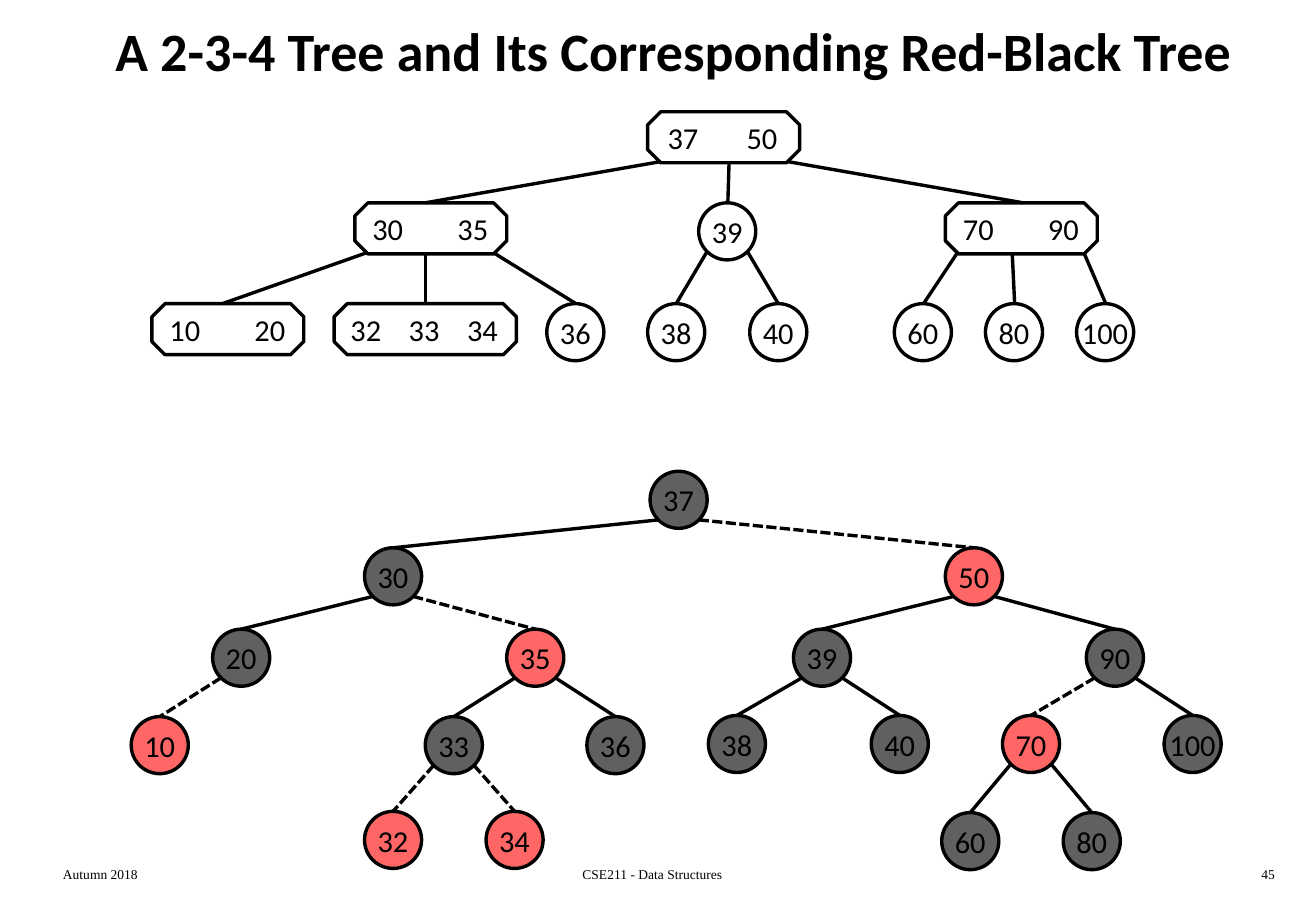
from pptx import Presentation
from pptx.dml.color import RGBColor
from pptx.enum.dml import MSO_LINE_DASH_STYLE as Dash
from pptx.enum.shapes import MSO_CONNECTOR as Connector, MSO_SHAPE as Shape
from pptx.enum.text import MSO_ANCHOR as Anchor, PP_ALIGN as Align
from pptx.oxml.ns import qn
from pptx.util import Inches, Pt
from lxml import etree

BLACK = RGBColor(0x00, 0x00, 0x00)
WHITE = RGBColor(0xFF, 0xFF, 0xFF)
NODE_BLACK = RGBColor(0x60, 0x60, 0x60)
NODE_RED = RGBColor(0xFF, 0x66, 0x66)

DIAMETER = 0.47
EDGE_X, EDGE_Y = 0.165, 0.4
KEY_BOX_HEIGHT = 0.42
KEY_BOX_INSET = 0.05

TEXTS = [
    ("A 2-3-4 Tree and Its Corresponding Red-Black Tree", 0.42, 0.08, 10.25, 0.67,
     Align.CENTER, Anchor.MIDDLE, {"name": "Calibri", "size": Pt(32), "bold": True}),
]
FOOTERS = [
    ("Autumn 2018", 0.42, 2.26, Align.LEFT),
    ("CSE211 - Data Structures", 3.34, 4.06, Align.CENTER),
    ("45", 8.33, 2.26, Align.RIGHT),
]
FOOTER_FONT = {"name": "Times New Roman", "size": Pt(8)}
NODE_FONT = {"name": "Calibri", "size": Pt(18)}

KEY_BOXES = [
    (["37", "50"], 5.33, 0.92, 1.25, 0.16, 0.65),
    (["30", "35"], 2.92, 1.67, 1.25, 0.14, 0.7),
    (["70", "90"], 7.78, 1.67, 1.25, 0.14, 0.7),
    (["10", "20"], 1.25, 2.5, 1.25, 0.14, 0.7),
    (["32", "33", "34"], 2.75, 2.5, 1.5, 0.13, 0.48),
]
KEY_BOX_EDGES = [
    (5.44, 1.33, 3.5, 1.67), (6, 1.33, 5.99, 1.67), (6.48, 1.33, 8.42, 1.67),
    (3.02, 2.08, 1.83, 2.5), (3.5, 2.08, 3.5, 2.5), (4.06, 2.08, 4.74, 2.5),
    (7.88, 2.08, 7.6, 2.5), (8.33, 2.08, 8.35, 2.5), (8.92, 2.08, 9.1, 2.5),
]
SINGLE_KEYS = {
    "39": (5.75, 1.67), "36": (4.5, 2.5), "38": (5.33, 2.5), "40": (6.17, 2.5),
    "60": (7.36, 2.5), "80": (8.11, 2.5), "100": (8.86, 2.5),
}
SINGLE_KEY_CHILDREN = {"39": ("38", "40")}

RED_BLACK_KEYS = {
    "37": (5.35, 3.88),
    "30": (3, 4.51), "50": (7.78, 4.51),
    "20": (1.75, 5.18), "35": (4.17, 5.18), "39": (6.53, 5.18), "90": (8.94, 5.18),
    "10": (1.08, 5.9), "33": (3.5, 5.9), "36": (4.83, 5.9),
    "38": (5.83, 5.89), "40": (7.17, 5.89), "70": (8.25, 5.89), "100": (9.58, 5.89),
    "32": (3, 6.68), "34": (4, 6.68), "60": (7.75, 6.69), "80": (8.75, 6.69),
}
RED_BLACK_CHILDREN = {
    "37": ("30", "50"), "30": ("20", "35"), "50": ("39", "90"), "20": ("10", None),
    "35": ("33", "36"), "39": ("38", "40"), "90": ("70", "100"),
    "33": ("32", "34"), "70": ("60", "80"),
}
RED_KEYS = {"50", "35", "10", "32", "34", "70"}


def set_attributes(target, values):
    for name, value in values.items():
        setattr(target, name, value)


def write_text(shape, text, align, anchor, font, frame_format):
    frame = shape.text_frame
    set_attributes(frame, {"vertical_anchor": anchor, **frame_format})
    paragraph = frame.paragraphs[0]
    paragraph.text = text
    paragraph.alignment = align
    set_attributes(paragraph.font, font)
    paragraph.font.color.rgb = BLACK
    return paragraph


def add_text(slide, text, left, top, width, height, align, anchor, font):
    box = slide.shapes.add_textbox(Inches(left), Inches(top), Inches(width), Inches(height))
    write_text(box, text, align, anchor, font, {"word_wrap": True})


def add_outlined(slide, kind, left, top, width, height):
    shape = slide.shapes.add_shape(
        kind, Inches(left), Inches(top), Inches(width), Inches(height))
    shape.shadow.inherit = False
    shape.line.color.rgb = BLACK
    shape.line.width = Pt(2)
    return shape


def add_key_box(slide, keys, left, top, width, indent, pitch):
    shape = add_outlined(slide, Shape.OCTAGON, left, top, width, KEY_BOX_HEIGHT)
    shape.adjustments[0] = 0.257
    shape.fill.background()
    margins = {"margin_left": Inches(indent - KEY_BOX_INSET), "margin_right": 0,
               "margin_top": 0, "margin_bottom": 0, "word_wrap": True}
    paragraph = write_text(shape, "\t".join(keys), Align.LEFT, Anchor.MIDDLE,
                           NODE_FONT, margins)
    properties = paragraph._p.get_or_add_pPr()
    tabs = etree.Element(qn("a:tabLst"))
    for position in range(1, len(keys)):
        etree.SubElement(tabs, qn("a:tab"), pos=str(Inches(pitch * position)), algn="l")
    properties.insert(0, tabs)


def add_node(slide, key, left, top, color):
    shape = add_outlined(slide, Shape.OVAL, left, top, DIAMETER, DIAMETER)
    shape.fill.solid()
    shape.fill.fore_color.rgb = color
    write_text(shape, key, Align.CENTER, Anchor.MIDDLE, NODE_FONT, {"word_wrap": False})
    return shape


def add_edge(slide, x1, y1, x2, y2, dashed=False):
    edge = slide.shapes.add_connector(
        Connector.STRAIGHT, Inches(x1), Inches(y1), Inches(x2), Inches(y2))
    edge.line.color.rgb = BLACK
    edge.line.width = Pt(2)
    if dashed:
        edge.line.dash_style = Dash.SQUARE_DOT
        edge.line._ln.find(qn("a:prstDash")).set("val", "sysDash")
    etree.SubElement(edge._element.spPr, qn("a:effectLst"))
    return edge


def add_binary_tree(slide, places, children, colors):
    nodes = {key: add_node(slide, key, left, top, colors[key])
             for key, (left, top) in places.items()}
    for parent, pair in children.items():
        left, top = places[parent]
        for side, child in zip((-1, 1), pair):
            if child is None:
                continue
            child_left, child_top = places[child]
            edge = add_edge(slide, left + DIAMETER / 2 + side * EDGE_X, top + EDGE_Y,
                            child_left + DIAMETER / 2, child_top,
                            dashed=colors[child] == NODE_RED)
            edge.end_connect(nodes[child], 0)


def main():
    presentation = Presentation()
    presentation.slide_width = Inches(10.83)
    presentation.slide_height = Inches(7.5)
    slide = presentation.slides.add_slide(presentation.slide_layouts[6])
    for text in TEXTS:
        add_text(slide, *text)
    for text, left, width, align in FOOTERS:
        add_text(slide, text, left, 7.08, width, 0.25, align, Anchor.TOP, FOOTER_FONT)
    for edge in KEY_BOX_EDGES:
        add_edge(slide, *edge)
    for key_box in KEY_BOXES:
        add_key_box(slide, *key_box)
    add_binary_tree(slide, SINGLE_KEYS, SINGLE_KEY_CHILDREN,
                    dict.fromkeys(SINGLE_KEYS, WHITE))
    add_binary_tree(slide, RED_BLACK_KEYS, RED_BLACK_CHILDREN,
                    {key: NODE_RED if key in RED_KEYS else NODE_BLACK
                     for key in RED_BLACK_KEYS})
    presentation.save("out.pptx")


if __name__ == "__main__":
    main()
